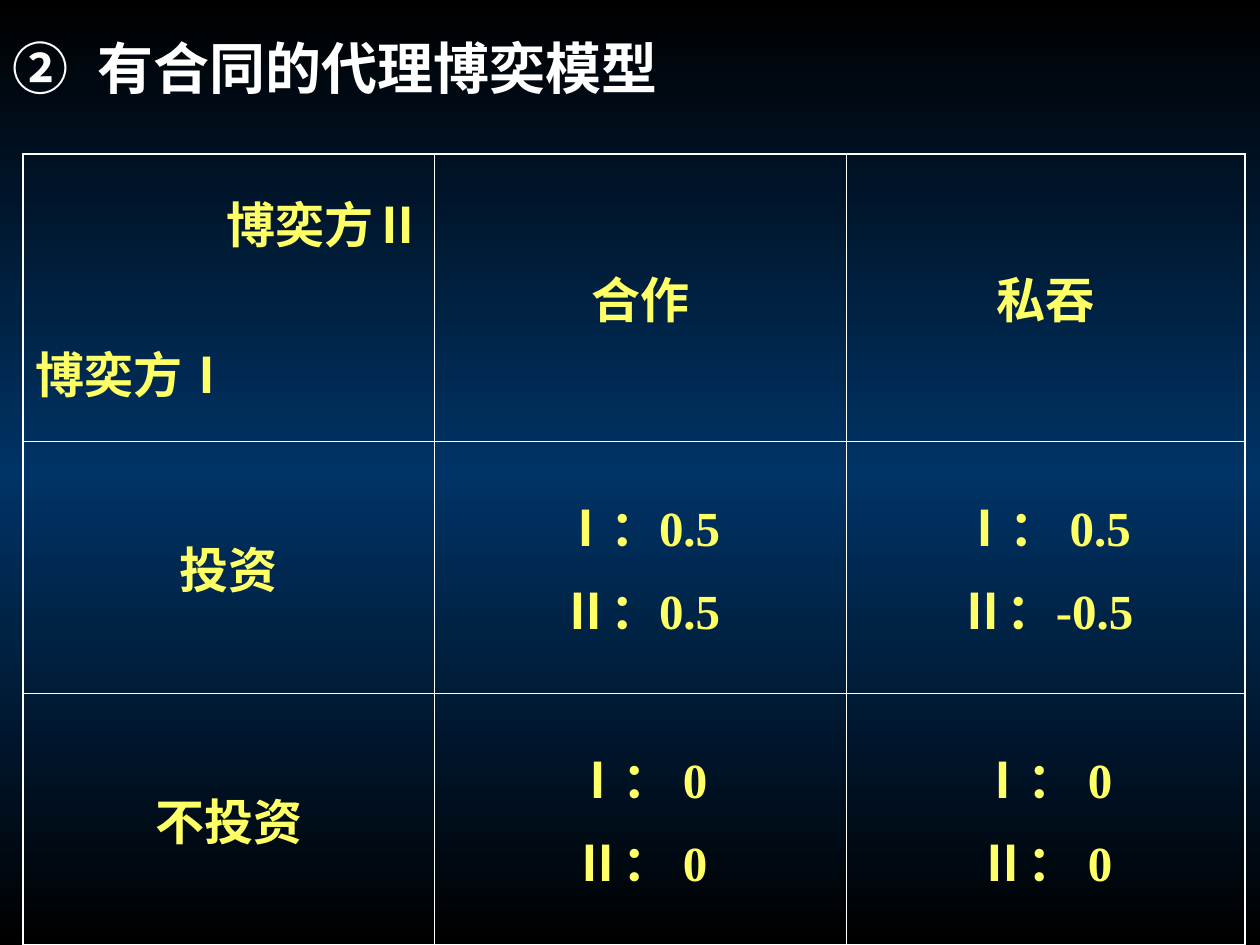
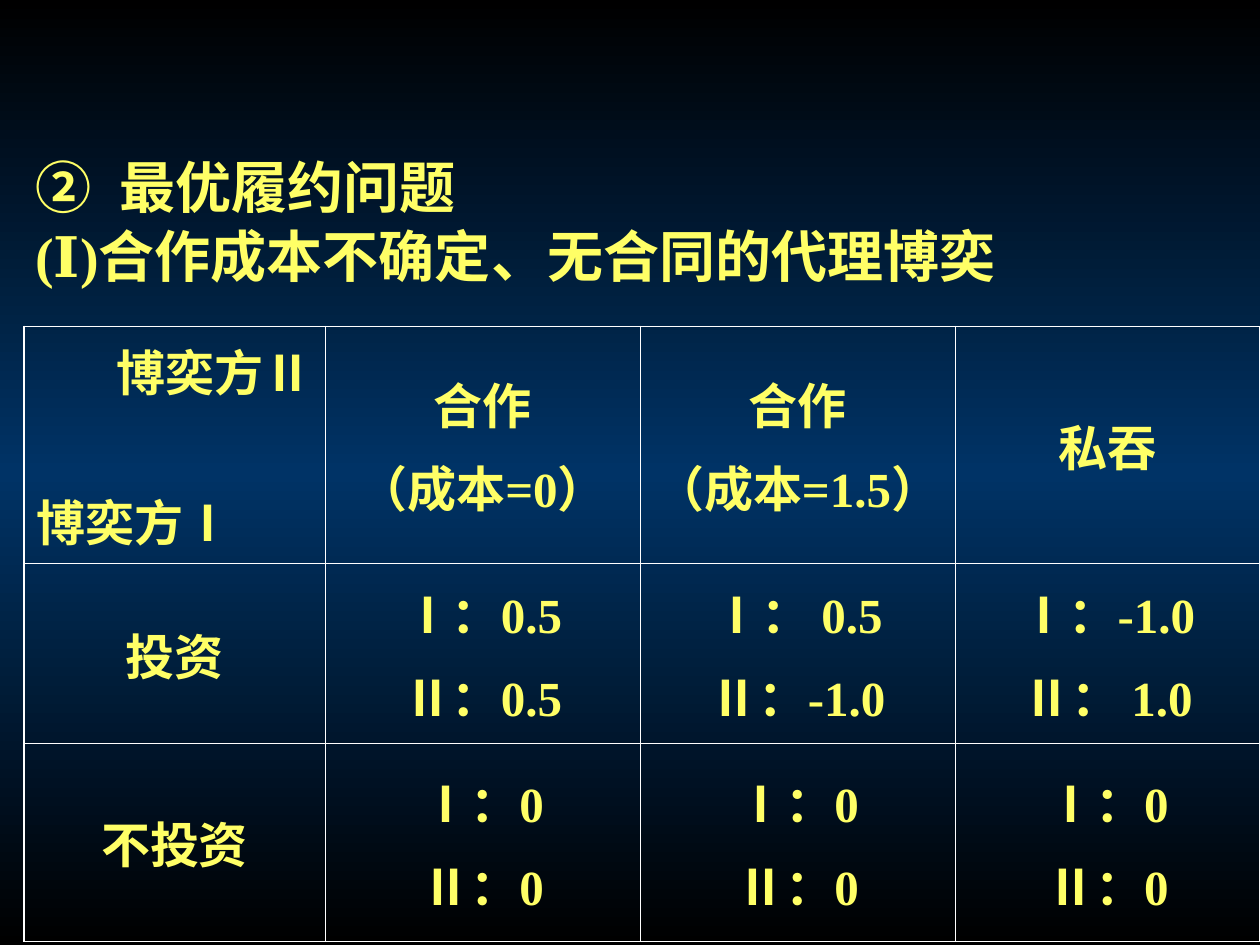
from dataclasses import dataclass

import lxml.etree
import pptx
import pptx.dml.color
import pptx.enum.text
import pptx.oxml
import pptx.oxml.ns
import pptx.util

Inches, Pt = pptx.util.Inches, pptx.util.Pt
RGB = pptx.dml.color.RGBColor.from_string
qn = pptx.oxml.ns.qn
ALIGN = pptx.enum.text.PP_ALIGN
ANCHOR = pptx.enum.text.MSO_ANCHOR


@dataclass(frozen=True)
class Theme:
    dark: str = "000000"
    glow: str = "003366"
    white: str = "FFFFFF"
    yellow: str = "FFFF66"
    sans: str = "Arial"
    serif: str = "Times New Roman"
    heading_size: int = 32
    cell_size: int = 28
    outer_line: float = 1.08
    inner_line: float = 0.45
    cell_gap: int = 7
    corner_gap: int = 45
    hanging: float = 0.67


THEME = Theme()


def add_xml(parent, tag, **attributes):
    return lxml.etree.SubElement(parent, qn(tag), attributes)


def paint_background(master):
    fill = master.background.fill
    fill.gradient()
    fill.gradient_angle = 90
    stops = master.element.find(".//" + qn("a:gsLst"))
    for stop in list(stops):
        stops.remove(stop)
    for position, colour in ((0, THEME.dark), (50, THEME.glow), (100, THEME.dark)):
        stop = add_xml(stops, "a:gs", pos=str(position * 1000))
        add_xml(stop, "a:srgbClr", val=colour)


def add_span(para, text, size, font, colour):
    span = para.add_run()
    span.text = text
    span.font.size = Pt(size)
    span.font.bold = True
    span.font.name = font
    span.font.color.rgb = RGB(colour)
    return span


def add_shadow(span):
    effects = lxml.etree.Element(qn("a:effectLst"))
    shadow = add_xml(effects, "a:outerShdw", dist="35921", dir="2700000", algn="ctr")
    add_xml(shadow, "a:srgbClr", val=THEME.dark)
    span.font.fill  # the colour element must come before the effects
    span._r.rPr.find(qn("a:solidFill")).addnext(effects)


def place(shape, box):
    shape.left, shape.top, shape.width, shape.height = (Inches(side) for side in box)


def fill_headings(shape, box, lines, font, colour, shadow=False):
    """Write heading lines whose number hangs left of the text."""
    place(shape, box)
    frame = shape.text_frame
    frame.word_wrap = True
    frame.auto_size = pptx.enum.text.MSO_AUTO_SIZE.NONE
    for index, line in enumerate(lines):
        para = frame.add_paragraph() if index else frame.paragraphs[0]
        para.alignment = ALIGN.LEFT
        para.line_spacing = 0.9
        para.space_before = Pt(5 if index else 0)
        properties = para._p.get_or_add_pPr()
        indent = Inches(THEME.hanging)
        properties.set("marL", str(indent))
        properties.set("indent", str(-indent))
        add_xml(properties, "a:buNone")
        tabs = add_xml(properties, "a:tabLst")
        add_xml(tabs, "a:tab", pos=str(indent), algn="l")
        span = add_span(para, line, THEME.heading_size, font, colour)
        if shadow:
            add_shadow(span)


def set_borders(cell, widths):
    """Draw the left, right, top and bottom edges in the given widths."""
    properties = cell._tc.get_or_add_tcPr()
    for index, (side, width) in enumerate(zip("LRTB", widths)):
        line = lxml.etree.Element(qn("a:ln" + side), w=str(Pt(width)))
        add_xml(add_xml(line, "a:solidFill"), "a:srgbClr", val=THEME.white)
        properties.insert(index, line)


def fill_cell(cell, lines, font, is_corner):
    cell.fill.background()
    cell.vertical_anchor = ANCHOR.MIDDLE
    cell.margin_left = cell.margin_right = Inches(0.1)
    cell.margin_top = cell.margin_bottom = Inches(0.05)
    frame = cell.text_frame
    for index, line in enumerate(lines):
        para = frame.add_paragraph() if index else frame.paragraphs[0]
        if is_corner:
            para.alignment = ALIGN.LEFT if index else ALIGN.RIGHT
        else:
            para.alignment = ALIGN.CENTER
        if index:
            para.space_before = Pt(THEME.corner_gap if is_corner else THEME.cell_gap)
        add_span(para, line, THEME.cell_size, font, THEME.yellow)


def add_payoff_table(page, box, widths, heights, choices, payoffs, label_font):
    """Set player I's rows against player II's choices."""
    rows = [[("博奕方Ⅱ", "博奕方Ⅰ"), *choices]]
    for action, pairs in zip(("投资", "不投资"), payoffs):
        rows.append([(action,), *((f"Ⅰ：{one}", f"Ⅱ：{two}") for one, two in pairs)])
    frame = page.shapes.add_table(
        len(rows), len(widths), *(Inches(side) for side in box))
    table = frame.table
    table.first_row = table.horz_banding = False
    for column, width in zip(table.columns, widths):
        column.width = Inches(width)
    for row, height in zip(table.rows, heights):
        row.height = Inches(height)
    for r, row in enumerate(rows):
        for c, lines in enumerate(row):
            cell = table.cell(r, c)
            font = THEME.serif if r and c else label_font
            fill_cell(cell, lines, font, is_corner=r == c == 0)
            on_edge = (c == 0, c == len(widths) - 1, r == 0, r == len(rows) - 1)
            set_borders(cell, [THEME.outer_line if edge else THEME.inner_line
                               for edge in on_edge])


def build_contract_page(deck):
    page = deck.slides.add_slide(deck.slide_layouts[5])
    fill_headings(page.shapes.title, (0, 0, 10, 1.14), ["②\t有合同的代理博奕模型"],
                  THEME.sans, THEME.white)
    add_payoff_table(
        page, (0.18, 1.22, 9.7, 6.28), (3.27, 3.27, 3.16), (2.28, 2, 2),
        [("合作",), ("私吞",)],
        [[("0.5", "0.5"), (" 0.5", "-0.5")],
         [(" 0", " 0")] * 2],
        THEME.sans)


def build_performance_page(deck):
    page = deck.slides.add_slide(deck.slide_layouts[1])
    title = page.shapes.title.element
    title.getparent().remove(title)
    fill_headings(page.placeholders[1], (0.18, 1.22, 9.82, 6.06),
                  ["②\t最优履约问题", "(Ⅰ)合作成本不确定、无合同的代理博奕"],
                  THEME.serif, THEME.yellow, shadow=True)
    add_payoff_table(
        page, (0.19, 2.59, 9.81, 4.7), (2.39, 2.5, 2.5, 2.42), (1.7, 1.43, 1.57),
        [("合作", "（成本=0）"), ("合作", "（成本=1.5）"), ("私吞",)],
        [[("0.5", "0.5"), (" 0.5", "-1.0"), ("-1.0", " 1.0")],
         [("0", "0")] * 3],
        THEME.serif)


def main():
    deck = pptx.Presentation()
    deck.slide_width, deck.slide_height = Inches(10), Inches(7.5)
    paint_background(deck.slide_master)
    build_contract_page(deck)
    build_performance_page(deck)
    deck.save("out.pptx")


if __name__ == "__main__":
    main()
